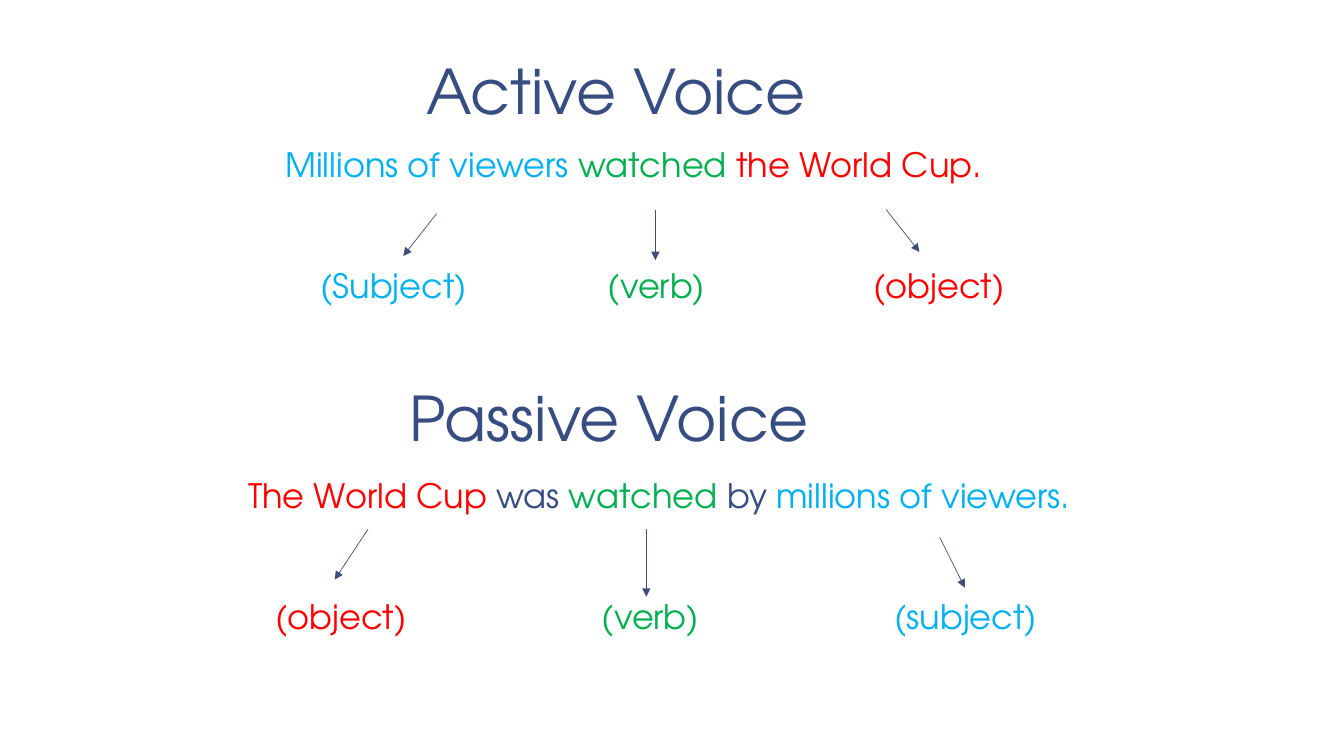
import pptx
import pptx.util
import pptx.dml.color
import pptx.enum.shapes
import pptx.enum.text
import pptx.oxml.ns
import lxml.etree

Inches = pptx.util.Inches
Pt = pptx.util.Pt
RGBColor = pptx.dml.color.RGBColor

NAVY = RGBColor(0x37, 0x4C, 0x81)
BLUE = RGBColor(0x00, 0xB0, 0xF0)
GREEN = RGBColor(0x00, 0xB0, 0x50)
RED = RGBColor(0xFF, 0x00, 0x00)
ARROW = RGBColor(0x41, 0x4E, 0x77)
FONT = "TeX Gyre Adventor"
HEADING_SIZE, TEXT_SIZE = 44, 24

TITLE_BOX = (1.22, 0.08, 11.11, 1.25)
BODY_BOX = (1.22, 1.42, 11.28, 5.33)
LABEL_WIDTH, LABEL_HEIGHT = 1.7, 0.4

# Each line: runs, size, space before in points, indent
BODY_LINES = [
    ([("Millions of viewers ", BLUE), ("watched ", GREEN),
      ("the World Cup.", RED)], TEXT_SIZE, 0, 1.48),
    ([("Passive Voice", NAVY)], HEADING_SIZE, 148, 2.71),
    ([("The World Cup ", RED), ("was", NAVY), (" watched ", GREEN),
      ("by ", NAVY), ("millions of viewers.", BLUE)],
     TEXT_SIZE, 18.7, 1.11),
]

# Label rows: top, then left, text and colour of each label,
# measured from the corner of the body box
LABEL_ROWS = [
    (1.27, [(1.96, "(Subject)", BLUE), (4.81, "(verb)", GREEN),
            (7.44, "(object)", RED)]),
    (4.55, [(1.51, "(object)", RED), (4.75, "(verb)", GREEN),
            (7.65, "(subject)", BLUE)]),
]

# Start and end of each arrow, measured from the corner of the body box
ARROWS = [
    (3.11, 0.7, 2.78, 1.12),
    (5.28, 0.66, 5.28, 1.16),
    (7.57, 0.66, 7.9, 1.08),
    (2.43, 3.83, 2.1, 4.33),
    (5.19, 3.83, 5.19, 4.5),
    (8.1, 3.91, 8.35, 4.41),
]


def add_element(parent, tag, **attributes):
    element = lxml.etree.SubElement(parent, pptx.oxml.ns.qn(tag))
    for name, value in attributes.items():
        element.set(name, str(value))


def prepare_frame(shape, anchor, side_margin, end_margin):
    frame = shape.text_frame
    frame.auto_size = pptx.enum.text.MSO_AUTO_SIZE.NONE
    frame.word_wrap = True
    frame.vertical_anchor = anchor
    frame.margin_left = frame.margin_right = Inches(side_margin)
    frame.margin_top = frame.margin_bottom = Inches(end_margin)
    return frame


def prepare_placeholder(shape, box, anchor):
    shape.left, shape.top, shape.width, shape.height = map(Inches, box)
    return prepare_frame(shape, anchor, 0.13, 0.07)


def write_line(paragraph, runs, size, space_before, indent):
    properties = paragraph._p.get_or_add_pPr()
    properties.set("marL", str(Inches(indent)))
    properties.set("indent", "0")
    add_element(properties, "a:buNone")
    paragraph.alignment = pptx.enum.text.PP_ALIGN.LEFT
    paragraph.line_spacing = 0.85
    paragraph.space_before = Pt(space_before)
    paragraph.font.name = FONT
    paragraph.font.size = Pt(size)
    for text, color in runs:
        run = paragraph.add_run()
        run.text = text
        run.font.color.rgb = color


def add_title(slide, box):
    frame = prepare_placeholder(slide.shapes.title, box,
                                pptx.enum.text.MSO_ANCHOR.BOTTOM)
    write_line(frame.paragraphs[0], [("Active Voice", NAVY)],
               HEADING_SIZE, 0, 2.88)


def add_body(slide, box):
    frame = prepare_placeholder(slide.placeholders[1], box,
                                pptx.enum.text.MSO_ANCHOR.TOP)
    for index, line in enumerate(BODY_LINES):
        paragraph = frame.add_paragraph() if index else frame.paragraphs[0]
        write_line(paragraph, *line)


def add_labels(slide, box):
    left, top = box[:2]
    for row_top, labels in LABEL_ROWS:
        for label_left, text, color in labels:
            label = slide.shapes.add_textbox(
                Inches(left + label_left), Inches(top + row_top),
                Inches(LABEL_WIDTH), Inches(LABEL_HEIGHT))
            frame = prepare_frame(label, pptx.enum.text.MSO_ANCHOR.TOP, 0, 0)
            write_line(frame.paragraphs[0], [(text, color)], TEXT_SIZE, 0, 0)


def add_arrows(slide, box):
    left, top = box[:2]
    for start_x, start_y, end_x, end_y in ARROWS:
        arrow = slide.shapes.add_connector(
            pptx.enum.shapes.MSO_CONNECTOR.STRAIGHT,
            Inches(left + start_x), Inches(top + start_y),
            Inches(left + end_x), Inches(top + end_y))
        arrow.line.color.rgb = ARROW
        arrow.line.width = Pt(0.5)
        add_element(arrow.line._get_or_add_ln(), "a:tailEnd", type="triangle")
        add_element(arrow._element.spPr, "a:effectLst")


def main():
    presentation = pptx.Presentation()
    presentation.slide_width = Inches(13.33)
    presentation.slide_height = Inches(7.5)
    slide = presentation.slides.add_slide(presentation.slide_layouts[1])
    # Heading and sentences
    add_title(slide, TITLE_BOX)
    add_body(slide, BODY_BOX)
    # Arrows from the sentence parts to their labels
    add_labels(slide, BODY_BOX)
    add_arrows(slide, BODY_BOX)
    presentation.save("out.pptx")


if __name__ == "__main__":
    main()
